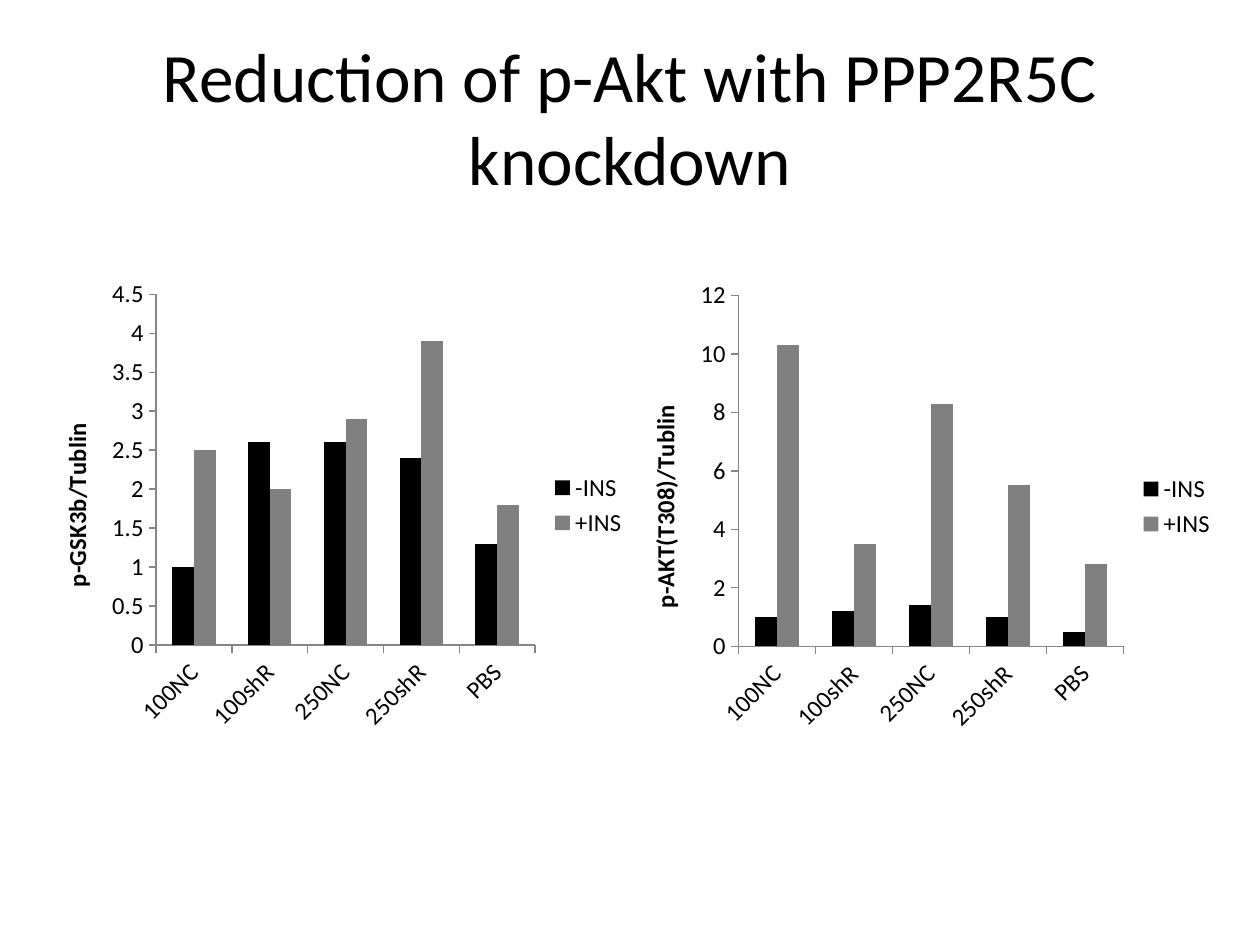
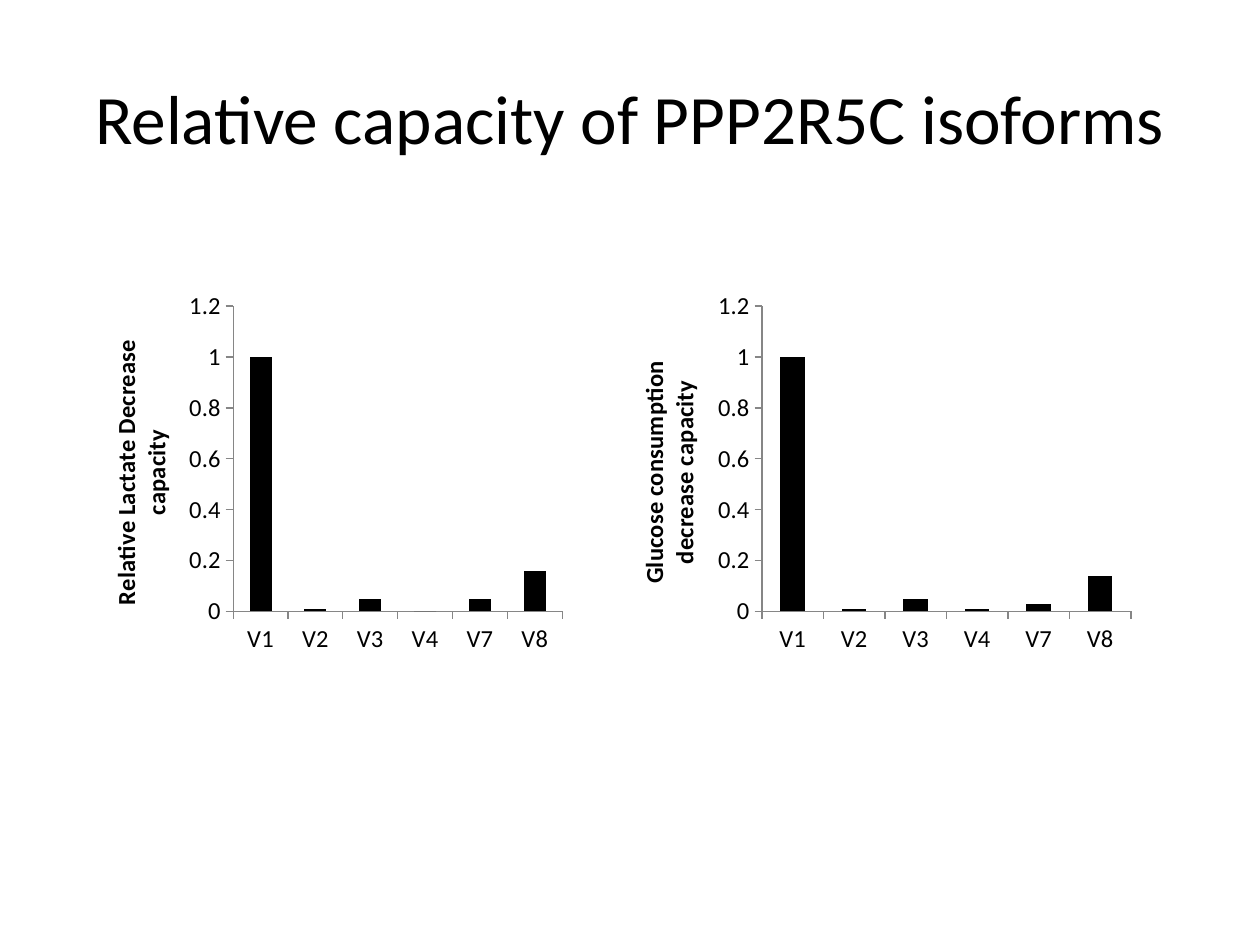
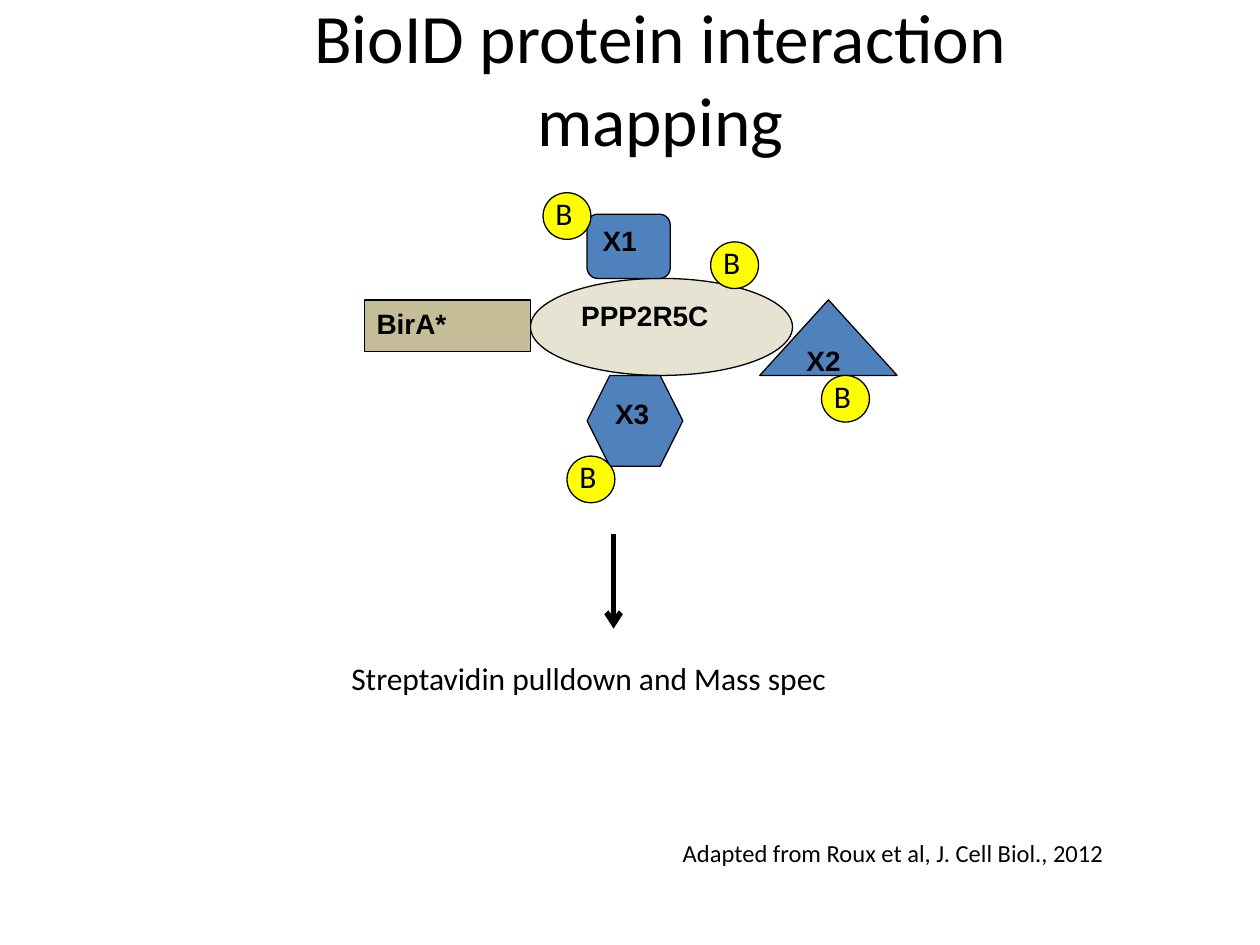
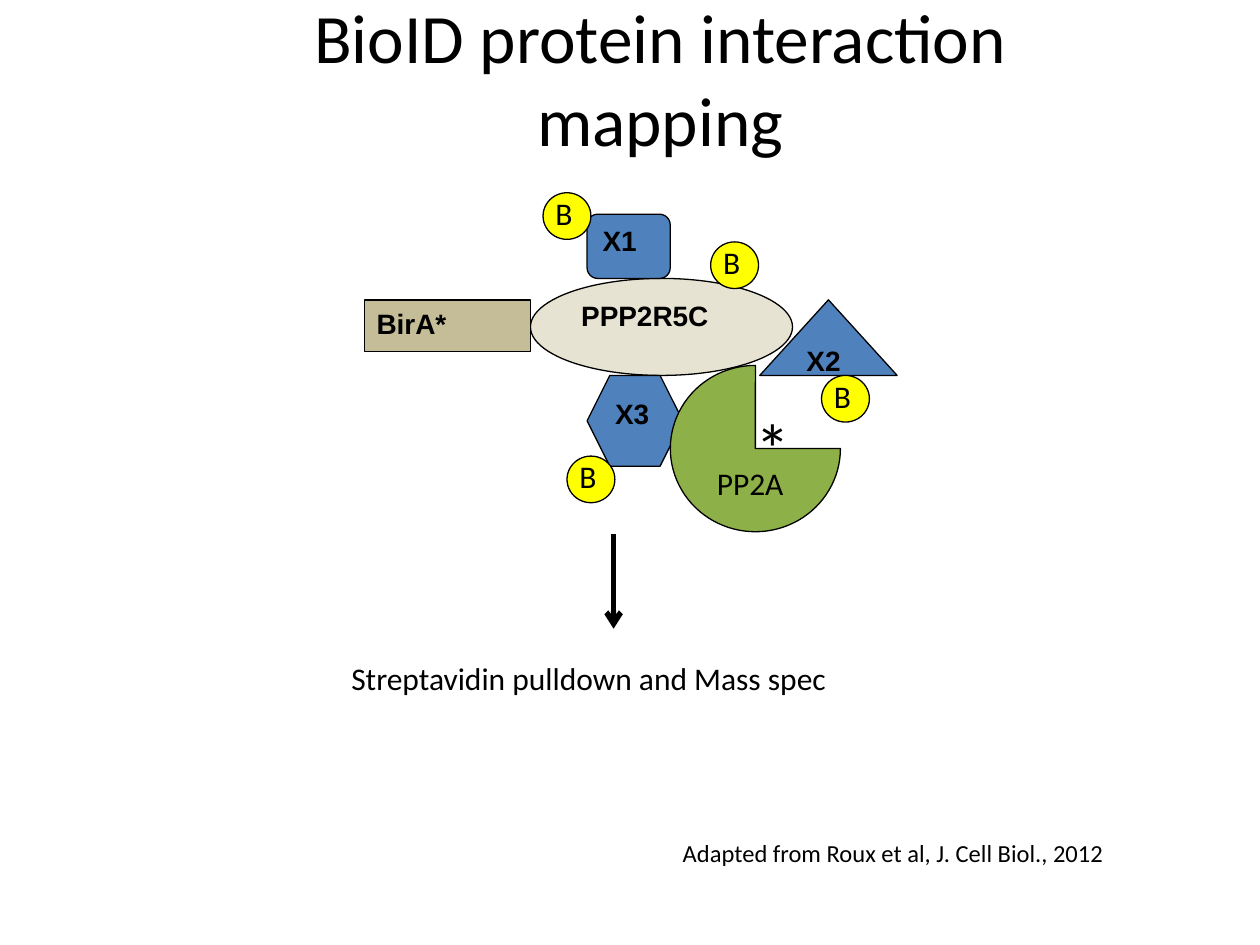
from dataclasses import dataclass

import pptx
import pptx.chart.data
import pptx.dml.color
import pptx.enum.chart
import pptx.enum.shapes
import pptx.enum.text
import pptx.oxml
import pptx.slide
import pptx.util
from pptx.util import Inches

# Shared style
COLORS = {
    "black": "000000",
    "gray": "808080",
    "axis": "868686",
    "bait": "E6E3D2",
    "ligase": "C4BD97",
    "prey": "4F81BD",
    "biotin": "FFFF00",
    "phosphatase": "8EB048",
}
BODY_FONT = "Calibri"
SHAPE_FONT = "Arial"
TITLE_SIZE = 39.6
CHART_SIZE = 14
LABEL_SIZE = 18
THIN_LINE = 0.75

Shape = pptx.enum.shapes.MSO_SHAPE
Anchor = pptx.enum.text.MSO_ANCHOR
Align = pptx.enum.text.PP_ALIGN


@dataclass(frozen=True)
class Box:
    left: float
    top: float
    width: float
    height: float

    def lengths(self) -> tuple:
        return tuple(Inches(n) for n in (self.left, self.top, self.width, self.height))


@dataclass(frozen=True)
class Label:
    text: str
    box: Box
    size: float = LABEL_SIZE
    wrap: bool = False


@dataclass(frozen=True)
class Protein:
    kind: Shape
    box: Box
    color: str
    text: str = ""


@dataclass(frozen=True)
class BarChart:
    box: Box
    axis_title: str
    categories: tuple[str, ...]
    series: dict[str, tuple[float, ...]]
    category_angle: int = 0


# Content
TITLE_BOX = Box(0.5, 0.3, 9, 1.25)
MAPPING_TITLE_BOX = Box(2.03, 0.09, 6.42, 1.04)

SAMPLES = ("100NC", "100shR", "250NC", "250shR", "PBS")
ISOFORMS = ("V1", "V2", "V3", "V4", "V7", "V8")

KNOCKDOWN_CHARTS = (
    BarChart(Box(0.26, 2.14, 4.82, 3.74), "p-GSK3b/Tublin", SAMPLES,
             {"-INS": (1, 2.6, 2.6, 2.4, 1.3), "+INS": (2.5, 2, 2.9, 3.9, 1.8)}, -45),
    BarChart(Box(4.93, 2.15, 4.82, 3.74), "p-AKT(T308)/Tublin", SAMPLES,
             {"-INS": (1, 1.2, 1.4, 1, 0.5), "+INS": (10.3, 3.5, 8.3, 5.5, 2.8)}, -45),
)
ISOFORM_CHARTS = (
    BarChart(Box(0.65, 2.25, 3.89, 3), "Relative Lactate Decrease capacity", ISOFORMS,
             {"Series 1": (1, 0.01, 0.05, 0, 0.05, 0.16)}),
    BarChart(Box(4.84, 2.25, 4.22, 3), "Glucose consumption decrease capacity", ISOFORMS,
             {"Series 1": (1, 0.01, 0.05, 0.01, 0.03, 0.14)}),
)
SERIES_COLORS = ("black", "gray")

PROTEINS = (
    Protein(Shape.OVAL, Box(4.21, 2.21, 2.08, 0.77), "bait", "PPP2R5C"),
    Protein(Shape.RECTANGLE, Box(2.89, 2.38, 1.32, 0.41), "ligase", "BirA*"),
    Protein(Shape.ROUNDED_RECTANGLE, Box(4.66, 1.7, 0.66, 0.51), "prey", "X1"),
    Protein(Shape.ISOSCELES_TRIANGLE, Box(6.03, 2.38, 1.09, 0.6), "prey", "X2"),
    Protein(Shape.HEXAGON, Box(4.66, 2.98, 0.76, 0.72), "prey", "X3"),
)
BIOTIN_CORNERS = ((6.52, 2.98), (4.31, 1.53), (4.5, 3.62), (5.64, 1.92))
CITATION = Label("Adapted from Roux et al, J. Cell Biol., 2012",
                 Box(5.32, 6.6, 4.61, 0.34), 14, True)
NEXT_STEP = Label("Streptavidin pulldown and Mass spec", Box(2.69, 5.18, 4.37, 0.4))
PHOSPHATASE = Protein(Shape.PIE, Box(5.32, 2.9, 1.35, 1.32), "phosphatase")
PHOSPHATASE_LABELS = (
    Label("*", Box(5.9, 3.16, 0.42, 0.77), 40),
    Label("PP2A", Box(5.59, 3.63, 0.85, 0.4)),
)


# Drawing helpers
def rgb(name: str) -> pptx.dml.color.RGBColor:
    return pptx.dml.color.RGBColor.from_string(COLORS[name])


def style_font(font, size: float, name: str = BODY_FONT, bold: bool = False) -> None:
    font.name = name
    font.size = pptx.util.Pt(size)
    font.bold = bold
    font.color.rgb = rgb("black")


def rotate_text(body_properties, degrees: int) -> None:
    body_properties.set("rot", str(degrees * 60000))
    body_properties.set("vert", "horz")


def add_title(slide: pptx.slide.Slide, text: str, box: Box) -> None:
    frame = slide.shapes.add_textbox(*box.lengths()).text_frame
    frame.word_wrap = True
    frame.vertical_anchor = Anchor.MIDDLE
    paragraph = frame.paragraphs[0]
    paragraph.text = text
    paragraph.alignment = Align.CENTER
    style_font(paragraph.font, TITLE_SIZE)


def add_label(shapes, label: Label) -> None:
    frame = shapes.add_textbox(*label.box.lengths()).text_frame
    frame.word_wrap = label.wrap
    frame.auto_size = pptx.enum.text.MSO_AUTO_SIZE.SHAPE_TO_FIT_TEXT
    paragraph = frame.paragraphs[0]
    paragraph.text = label.text
    style_font(paragraph.font, label.size)


def add_protein(shapes, protein: Protein) -> None:
    shape = shapes.add_shape(protein.kind, *protein.box.lengths())
    shape.shadow.inherit = False
    shape.fill.solid()
    shape.fill.fore_color.rgb = rgb(protein.color)
    shape.line.color.rgb = rgb("black")
    shape.line.width = pptx.util.Pt(THIN_LINE)
    if protein.text:
        shape.text_frame.vertical_anchor = Anchor.TOP
        paragraph = shape.text_frame.paragraphs[0]
        paragraph.text = protein.text
        paragraph.alignment = Align.LEFT
        style_font(paragraph.font, 16, SHAPE_FONT, True)


def add_biotin(slide: pptx.slide.Slide, left: float, top: float) -> None:
    group = slide.shapes.add_group_shape()
    add_protein(group.shapes, Protein(Shape.OVAL, Box(left, top, 0.38, 0.37), "biotin"))
    add_label(group.shapes, Label("B", Box(left, top - 0.04, 0.37, 0.4)))


def add_down_arrow(slide: pptx.slide.Slide, x: float, top: float, bottom: float) -> None:
    arrow = slide.shapes.add_connector(
        pptx.enum.shapes.MSO_CONNECTOR.STRAIGHT,
        Inches(x), Inches(top), Inches(x), Inches(bottom))
    arrow.line.color.rgb = rgb("black")
    arrow.line.width = pptx.util.Pt(3)
    namespace = 'xmlns:a="http://schemas.openxmlformats.org/drawingml/2006/main"'
    arrow.line._get_or_add_ln().append(
        pptx.oxml.parse_xml(f'<a:tailEnd {namespace} type="arrow"/>'))
    arrow._element.spPr.append(pptx.oxml.parse_xml(f"<a:effectLst {namespace}/>"))


def add_bar_chart(slide: pptx.slide.Slide, bars: BarChart) -> None:
    data = pptx.chart.data.CategoryChartData()
    data.categories = bars.categories
    for name, values in bars.series.items():
        data.add_series(name, values)
    chart = slide.shapes.add_chart(
        pptx.enum.chart.XL_CHART_TYPE.COLUMN_CLUSTERED, *bars.box.lengths(), data).chart
    style_font(chart.font, CHART_SIZE)
    chart.has_title = False

    # Bars
    plot = chart.plots[0]
    plot.gap_width = 150
    plot.vary_by_categories = False
    for series, color in zip(plot.series, SERIES_COLORS):
        series.format.fill.solid()
        series.format.fill.fore_color.rgb = rgb(color)

    # Axes
    for axis in (chart.category_axis, chart.value_axis):
        axis.has_major_gridlines = False
        axis.major_tick_mark = pptx.enum.chart.XL_TICK_MARK.OUTSIDE
        axis.format.line.color.rgb = rgb("axis")
        axis.format.line.width = pptx.util.Pt(THIN_LINE)
        style_font(axis.tick_labels.font, CHART_SIZE)
    if bars.category_angle:
        rotate_text(chart.category_axis._element.txPr.bodyPr, bars.category_angle)
    title_frame = chart.value_axis.axis_title.text_frame
    title_frame.text = bars.axis_title
    rotate_text(title_frame._txBody.bodyPr, -90)
    style_font(title_frame.paragraphs[0].font, CHART_SIZE, bold=True)

    # Legend
    chart.has_legend = len(bars.series) > 1
    if chart.has_legend:
        chart.legend.position = pptx.enum.chart.XL_LEGEND_POSITION.RIGHT
        chart.legend.include_in_layout = False


# Slides
def add_blank_slide(presentation) -> pptx.slide.Slide:
    return presentation.slides.add_slide(presentation.slide_layouts[6])


def add_chart_slide(presentation, title: str, charts: tuple[BarChart, ...]) -> None:
    slide = add_blank_slide(presentation)
    add_title(slide, title, TITLE_BOX)
    for bars in charts:
        add_bar_chart(slide, bars)


def add_mapping_slide(presentation, with_phosphatase: bool) -> None:
    slide = add_blank_slide(presentation)
    add_title(slide, "BioID protein interaction mapping", MAPPING_TITLE_BOX)
    add_label(slide.shapes, CITATION)
    for protein in PROTEINS:
        add_protein(slide.shapes, protein)
    for left, top in BIOTIN_CORNERS:
        add_biotin(slide, left, top)
    add_down_arrow(slide, 4.87, 4.24, 4.99)
    add_label(slide.shapes, NEXT_STEP)
    if with_phosphatase:
        add_protein(slide.shapes, PHOSPHATASE)
        for label in PHOSPHATASE_LABELS:
            add_label(slide.shapes, label)


def main() -> None:
    presentation = pptx.Presentation()
    presentation.slide_width = Inches(10)
    presentation.slide_height = Inches(7.5)
    add_chart_slide(presentation, "Reduction of p-Akt with PPP2R5C knockdown",
                    KNOCKDOWN_CHARTS)
    add_chart_slide(presentation, "Relative capacity of PPP2R5C isoforms", ISOFORM_CHARTS)
    for with_phosphatase in (False, True):
        add_mapping_slide(presentation, with_phosphatase)
    presentation.save("out.pptx")


if __name__ == "__main__":
    main()
